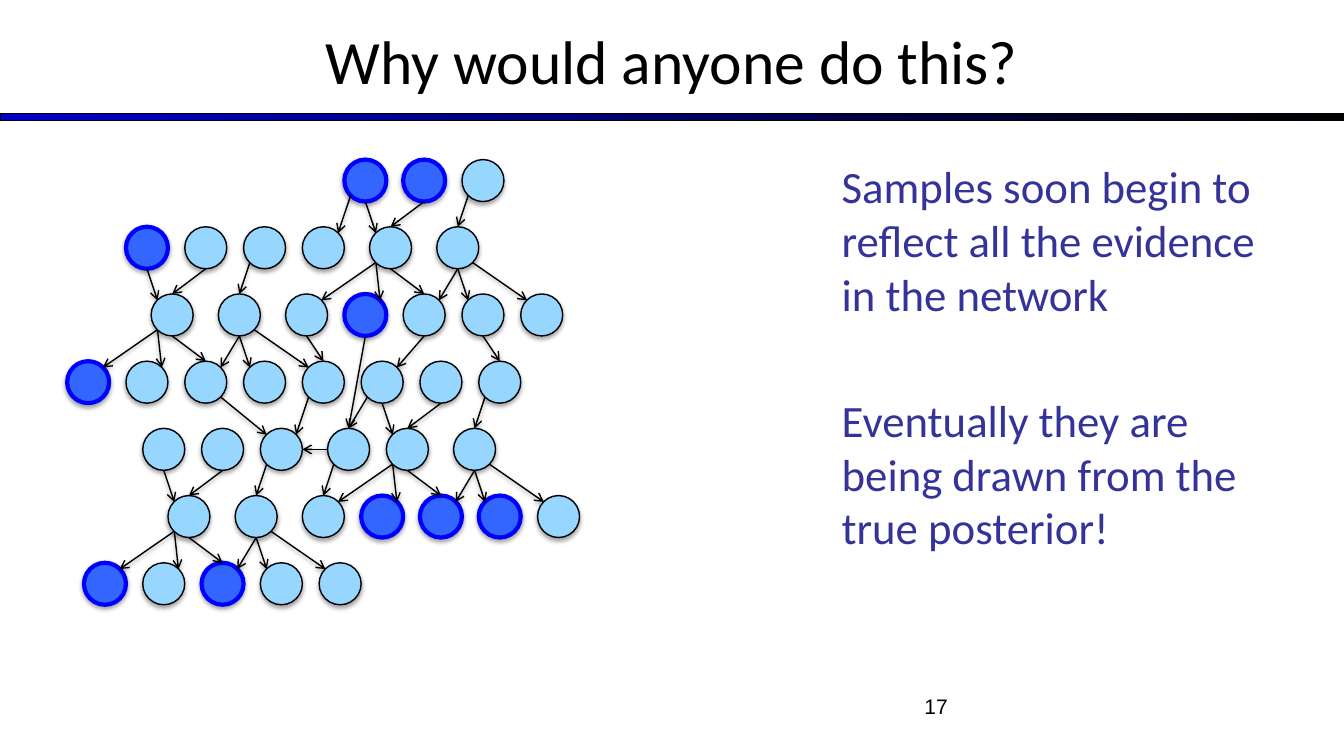
from lxml import etree
from pptx import Presentation
from pptx.dml.color import RGBColor
from pptx.enum import shapes, text
from pptx.oxml import ns
from pptx.util import Pt

TITLE = "Why would anyone do this?"
NOTES = [
    "Samples soon begin to reflect all the evidence in the network",
    "Eventually they are being drawn from the true posterior!",
]
PAGE = "17"
ROWS = {
    "A": [246, 288, 330],
    "B": [90, 132, 174, 216, 264, 312],
    "C": [108, 156, 204, 246, 288, 330, 372],
    "D": [48, 90, 132, 174, 216, 258, 300, 342],
    "E": [102, 144, 186, 234, 276, 324],
    "F": [120, 168, 216, 258, 300, 342, 384],
    "G": [60, 102, 144, 186, 228],
}
EVIDENCE = {"A0", "A1", "B0", "C3", "D0", "F3", "F4", "F5", "G0", "G2"}
ARROWS = [
    "A0 S B4 NW", "A1 S B4 N", "A2 SW B5 N", "A0 SW B3 NE",
    "B0 S C0 NW", "B1 S C0 N", "B2 SW C1 N",
    "B4 SW C2 NE", "B4 SW C3 NE", "B4 S C4 N",
    "B5 S C5 NW", "B5 SE C6 NW", "B5 S C4 NE",
    "C0 SW D0 NE", "C0 SW D1 NE", "C0 S D2 N",
    "C1 S D3 NW", "C1 SE D4 NW", "C1 S D2 NE",
    "C2 S D4 N", "C4 S D5 NE", "C5 S D7 N", "C3 S E3 N",
    "D2 SE E2 NW", "D4 SW E2 NE", "D5 SW E3 N",
    "D5 S E4 NW", "D6 S E4 N", "D7 SW E5 N",
    "E3 W E2 E", "E3 SW F2 N",
    "E0 S F0 NW", "E1 S F0 N", "E2 SW F1 N",
    "E4 SW F2 NE", "E4 SW F3 NE", "E4 S F4 N",
    "E5 S F5 NW", "E5 SE F6 NW", "E5 S F4 NE",
    "F0 SW G0 NE", "F0 SW G1 NE", "F0 S G2 N",
    "F1 S G3 NW", "F1 SE G4 NW", "F1 S G2 NE",
]
SIZE, TOP, PITCH = 30, 114, 48
NEAR, MID, FAR = 0.15 * SIZE, SIZE / 2, 0.85 * SIZE
SITES = {
    "N": (MID, 0), "S": (MID, SIZE), "W": (0, MID), "E": (SIZE, MID),
    "NW": (NEAR, NEAR), "NE": (FAR, NEAR), "SW": (NEAR, FAR), "SE": (FAR, FAR),
}
NODES = {
    f"{row}{i}": (x, TOP + PITCH * n)
    for n, (row, xs) in enumerate(ROWS.items())
    for i, x in enumerate(xs)
}


def color(value):
    return RGBColor.from_string(value)


def child(parent, tag, **attrs):
    return etree.SubElement(parent, ns.qn(tag), attrs)


def place(sp, x, y, w, h):
    sp.left, sp.top, sp.width, sp.height = Pt(x), Pt(y), Pt(w), Pt(h)


def style(p, name, size, fill):
    p.font.name, p.font.size = name, Pt(size)
    p.font.color.rgb = color(fill)


def outline(sp, fill, width):
    sp.line.color.rgb = color(fill)
    sp.line.width = Pt(width)


def shadow(sp, alpha, dist):
    effects = child(sp._element.spPr, "a:effectLst")
    outer = child(effects, "a:outerShdw", blurRad=str(Pt(3.1)), dist=str(Pt(dist)),
                  dir="5400000", rotWithShape="0")
    child(child(outer, "a:srgbClr", val="000000"), "a:alpha", val=str(alpha * 1000))


def add_node(s, name):
    x, y = NODES[name]
    fill, line, width = ("3366FF", "0000FF", 3) if name in EVIDENCE else ("97D7FF", "000000", 1)
    sp = s.shapes.add_shape(shapes.MSO_SHAPE.OVAL, Pt(x), Pt(y), Pt(SIZE), Pt(SIZE))
    sp.fill.solid()
    sp.fill.fore_color.rgb = color(fill)
    outline(sp, line, width)
    shadow(sp, 35, 1.8)


def site(name, side):
    return [Pt(a + b) for a, b in zip(NODES[name], SITES[side])]


def add_arrow(s, arrow):
    start, start_side, end, end_side = arrow.split()
    sp = s.shapes.add_connector(shapes.MSO_CONNECTOR.STRAIGHT,
                                *site(start, start_side), *site(end, end_side))
    outline(sp, "000000", 1)
    child(sp.line._get_or_add_ln(), "a:tailEnd", type="arrow")
    shadow(sp, 38, 1.6)


def main():
    prs = Presentation()
    prs.slide_width, prs.slide_height = Pt(960), Pt(540)
    s = prs.slides.add_slide(prs.slide_layouts[1])

    bar = s.shapes.add_shape(shapes.MSO_SHAPE.RECTANGLE, 0, Pt(81), Pt(960), Pt(5.4))
    bar.shadow.inherit = False
    bar.fill.gradient()
    bar.fill.gradient_angle = 0
    for stop, value in zip(bar.fill.gradient_stops, ["0000CC", "000000"]):
        stop.color.rgb = color(value)
    outline(bar, "000000", 0.75)

    title = s.shapes.title
    place(title, 0, -2, 960, 90)
    tf = title.text_frame
    tf.text = TITLE
    tf.auto_size = text.MSO_AUTO_SIZE.NONE
    tf.vertical_anchor = text.MSO_ANCHOR.MIDDLE
    tf.paragraphs[0].alignment = text.PP_ALIGN.CENTER
    style(tf.paragraphs[0], "Calibri", 44, "000000")

    body = s.placeholders[1]
    place(body, 594, 110, 334, 372)
    tf = body.text_frame
    tf.text = "\n".join(NOTES)
    tf.auto_size = text.MSO_AUTO_SIZE.NONE
    for i, p in enumerate(tf.paragraphs):
        pPr = p._p.get_or_add_pPr()
        pPr.set("marL", "0")
        pPr.set("indent", "0")
        child(pPr, "a:buNone")
        p.space_before = Pt(51.5 * i)
        style(p, "Calibri", 32, "333399")

    page = s.shapes.add_textbox(Pt(516), Pt(492), Pt(168), Pt(37.5))
    tf = page.text_frame
    tf.word_wrap = True
    tf.text = PAGE
    tf.paragraphs[0].alignment = text.PP_ALIGN.RIGHT
    style(tf.paragraphs[0], "Arial", 15, "000000")

    for name in sorted(EVIDENCE):
        add_node(s, name)
    for arrow in ARROWS:
        add_arrow(s, arrow)
    for name in NODES:
        if name not in EVIDENCE:
            add_node(s, name)

    prs.save("out.pptx")


if __name__ == "__main__":
    main()
